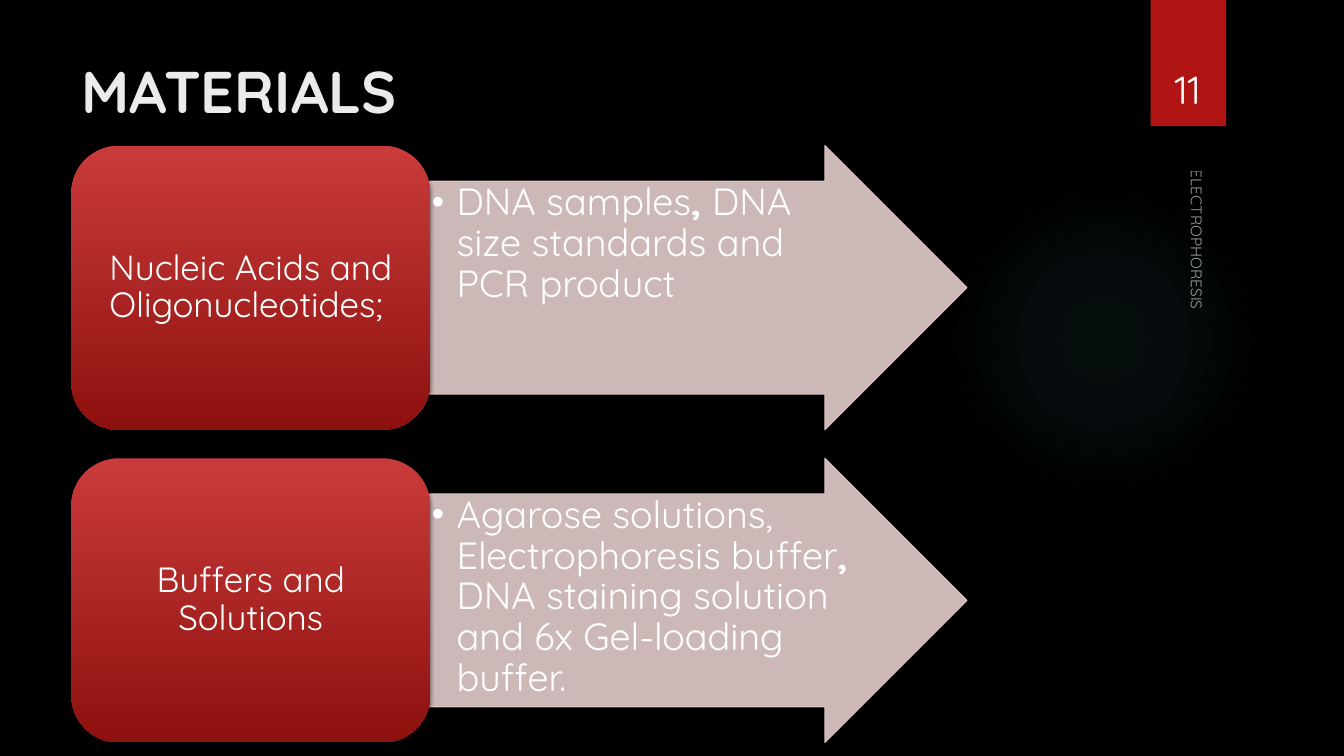
from pptx import Presentation
from pptx.dml.color import RGBColor
from pptx.enum.shapes import MSO_SHAPE
from pptx.enum.text import MSO_ANCHOR, PP_ALIGN
from pptx.oxml import parse_xml
from pptx.oxml.ns import nsdecls, qn
from pptx.util import Cm, Pt

FONT = "Quicksand"
WHITE = "FFFFFF"
ROW_TOP = 3.67
ROW_PITCH = 7.88
ROW_HEIGHT = 7.16
MATERIALS = [
    ("Nucleic Acids and Oligonucleotides; ",
     [("DNA samples", False), (", ", True),
      ("DNA size standards and PCR product", False)]),
    ("Buffers and Solutions",
     [("Agarose solutions, Electrophoresis buffer", False), (", ", True),
      ("DNA staining solution and 6x Gel-loading buffer.", False)]),
]


def color(value):
    return RGBColor.from_string(value)


def set_attributes(target, values):
    for name, value in values.items():
        setattr(target, name, value)


def set_alpha(element, percent):
    for node in element.iter(qn("a:srgbClr")):
        node.append(parse_xml(f'<a:alpha {nsdecls("a")} val="{percent * 1000}"/>'))


def set_gradient(shape, stops, direction):
    shape.fill.gradient()
    properties = shape._element.spPr
    stop_xml = "".join(
        f'<a:gs pos="{position * 1000}"><a:srgbClr val="{value}">'
        f'<a:alpha val="{alpha * 1000}"/></a:srgbClr></a:gs>'
        for position, value, alpha in stops)
    properties.replace(properties.find(qn("a:gradFill")), parse_xml(
        f'<a:gradFill {nsdecls("a")} rotWithShape="1">'
        f'<a:gsLst>{stop_xml}</a:gsLst>{direction}</a:gradFill>'))


def add_shadow(shape):
    shape._element.spPr.find(qn("a:effectLst")).append(parse_xml(
        f'<a:outerShdw {nsdecls("a")} blurRad="38100" dist="25400" dir="5400000" '
        'rotWithShape="0"><a:srgbClr val="000000"><a:alpha val="45000"/>'
        '</a:srgbClr></a:outerShdw>'))


def add_plain_shape(slide, kind, box, fill=None):
    shape = slide.shapes.add_shape(kind, *map(Cm, box))
    shape.shadow.inherit = False
    shape.line.fill.background()
    if fill:
        shape.fill.solid()
        shape.fill.fore_color.rgb = color(fill)
    return shape


def write_text(shape, runs, size, frame_values, paragraph_values, value=WHITE):
    frame = shape.text_frame
    set_attributes(frame, {"word_wrap": True, **frame_values})
    paragraph = frame.paragraphs[0]
    set_attributes(paragraph, paragraph_values)
    for text, bold in runs:
        run = paragraph.add_run()
        run.text = text
        set_attributes(run.font, {"name": FONT, "size": Pt(size), "bold": bold})
        run.font.color.rgb = color(value)
    return paragraph


def add_text(slide, box, text, size, anchor, alignment, value=WHITE, bold=False):
    text_box = slide.shapes.add_textbox(*map(Cm, box))
    write_text(text_box, [(text, bold)], size, {"vertical_anchor": anchor},
               {"alignment": alignment}, value)
    return text_box


def set_bullet(paragraph):
    properties = paragraph._p.get_or_add_pPr()
    properties.set("marL", str(Cm(0.64)))
    properties.set("indent", str(-Cm(0.64)))
    properties.append(parse_xml(f'<a:buFont {nsdecls("a")} typeface="{FONT}"/>'))
    properties.append(parse_xml(f'<a:buChar {nsdecls("a")} char="•"/>'))


def add_detail_arrow(slide, top, runs):
    arrow = add_plain_shape(slide, MSO_SHAPE.RIGHT_ARROW,
                            (10.83, top, 13.54, ROW_HEIGHT), "E4CCCC")
    arrow.adjustments[0] = 0.75
    arrow.adjustments[1] = 0.5
    arrow.line.color.rgb = color("E4CCCC")
    arrow.line.width = Pt(0.75)
    set_alpha(arrow._element.spPr, 90)
    add_shadow(arrow)
    margins = dict.fromkeys(
        ("margin_left", "margin_top", "margin_right", "margin_bottom"), Cm(0.04))
    paragraph = write_text(
        arrow, runs, 27, {"vertical_anchor": MSO_ANCHOR.TOP, **margins},
        {"alignment": PP_ALIGN.LEFT, "line_spacing": 0.9})
    set_bullet(paragraph)


def add_label_box(slide, top, text):
    box = add_plain_shape(slide, MSO_SHAPE.ROUNDED_RECTANGLE,
                          (1.8, top, 9.04, ROW_HEIGHT))
    set_gradient(box, [(0, "C93B3A", 100), (100, "8D110F", 100)],
                 '<a:lin ang="5400000" scaled="0"/>')
    add_shadow(box)
    write_text(box, [(text, False)], 25, {"vertical_anchor": MSO_ANCHOR.MIDDLE},
               {"alignment": PP_ALIGN.CENTER, "line_spacing": 0.9})


def add_backdrop(slide):
    slide.background.fill.solid()
    slide.background.fill.fore_color.rgb = color("000000")
    glow = add_plain_shape(slide, MSO_SHAPE.OVAL, (23.9, 4.65, 7.82, 7.82))
    set_gradient(glow, [(0, "50B9C1", 7), (36, "50B9C1", 6), (69, "50B9C1", 0)],
                 '<a:path path="circle"><a:fillToRect l="50000" t="50000" '
                 'r="50000" b="50000"/></a:path>')
    ribbon = add_plain_shape(slide, MSO_SHAPE.RECTANGLE, (29, 0, 1.9, 3.18), "B01513")
    add_shadow(ribbon)


def main():
    presentation = Presentation()
    set_attributes(presentation, {"slide_width": Cm(33.87), "slide_height": Cm(19.05)})
    slide = presentation.slides.add_slide(presentation.slide_layouts[6])
    add_backdrop(slide)
    add_text(slide, (1.8, 1.25, 26.14, 3.89), "MATERIALS", 42,
             MSO_ANCHOR.TOP, PP_ALIGN.LEFT, "EBEBEB", True)
    for index, (label, details) in enumerate(MATERIALS):
        top = ROW_TOP + index * ROW_PITCH
        add_detail_arrow(slide, top, details)
        add_label_box(slide, top, label)
    footer = add_text(slide, (24.87, 8.97, 10.72, 0.84), "ELECTROPHORESIS", 11,
                      MSO_ANCHOR.BOTTOM, PP_ALIGN.LEFT)
    footer.rotation = 90
    set_alpha(footer._element, 60)
    add_text(slide, (28.76, 0.83, 2.34, 2.13), "11", 28,
             MSO_ANCHOR.BOTTOM, PP_ALIGN.CENTER)
    presentation.save("out.pptx")


if __name__ == "__main__":
    main()
